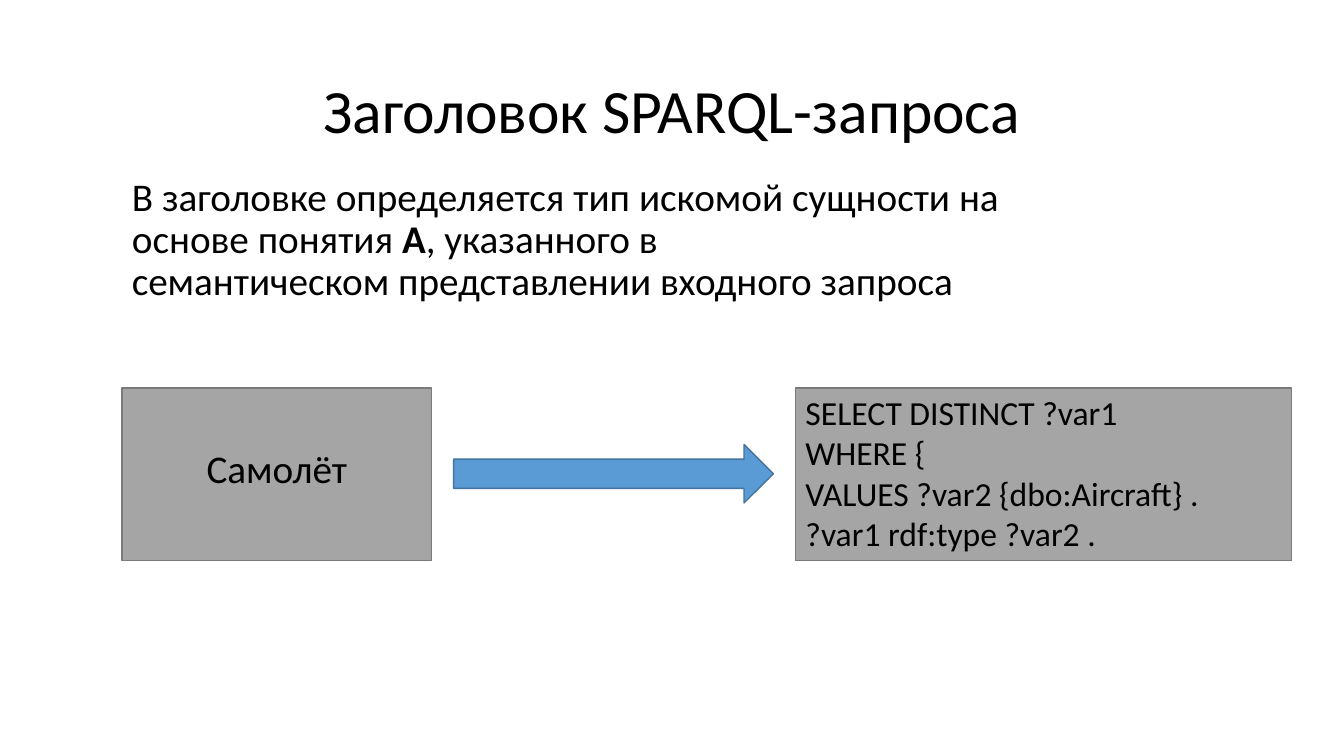
from pptx import Presentation
from pptx import util as u
from pptx.dml.color import RGBColor
from pptx.enum import shapes, text

PX = 9144
FONT = "Calibri"
BLACK = RGBColor(0x00, 0x00, 0x00)
GREY = RGBColor(0xA5, 0xA5, 0xA5)
EDGE = RGBColor(0x7A, 0x7A, 0x7A)
BLUE = RGBColor(0x5B, 0x9B, 0xD5)
NAVY = RGBColor(0x43, 0x73, 0x9E)
LEFT = text.PP_ALIGN.LEFT
CENTER = text.PP_ALIGN.CENTER

QUERY = [
    "SELECT DISTINCT ?var1",
    "WHERE {",
    "VALUES ?var2 {dbo:Aircraft} .",
    "?var1 rdf:type ?var2 .",
]


def scale(*box):
    return [u.Emu(n * PX) for n in box]


def style(para, size, align=LEFT):
    para.alignment = align
    para.font.size = u.Pt(size)
    para.font.name = FONT
    para.font.color.rgb = BLACK


def add_title(slide, box, words):
    title = slide.shapes.title
    title.left, title.top, title.width, title.height = scale(*box)
    frame = title.text_frame
    frame.text = words
    frame.vertical_anchor = text.MSO_ANCHOR.MIDDLE
    para = frame.paragraphs[0]
    style(para, 44, CENTER)
    para.line_spacing = 0.9


def add_shape(slide, kind, box, fill, edge):
    shape = slide.shapes.add_shape(kind, *scale(*box))
    shape.shadow.inherit = False
    shape.fill.solid()
    shape.fill.fore_color.rgb = fill
    shape.line.color.rgb = edge
    shape.line.width = u.Pt(1)


def add_text(slide, box, lines, size, align=LEFT):
    frame = slide.shapes.add_textbox(*scale(*box)).text_frame
    frame.word_wrap = True
    frame.text = "\n".join(lines)
    for para in frame.paragraphs:
        style(para, size, align)
    return frame


def add_intro(slide, box):
    frame = add_text(
        slide, box,
        ["В заголовке определяется тип искомой сущности на основе понятия "], 28)
    para = frame.paragraphs[0]
    para.line_spacing = 0.9
    para.space_before = u.Pt(10)
    term = para.add_run()
    term.text = "A"
    term.font.bold = True
    para.add_run().text = ", указанного в "
    para.add_line_break()
    para.add_run().text = "семантическом представлении входного запроса"


def main():
    deck = Presentation()
    deck.slide_width, deck.slide_height = u.Inches(13.33), u.Inches(7.5)
    slide = deck.slides.add_slide(deck.slide_layouts[5])
    rect = shapes.MSO_SHAPE.RECTANGLE
    arrow = shapes.MSO_SHAPE.RIGHT_ARROW
    for left, width in [(121, 307), (789, 492)]:
        add_shape(slide, rect, (left, 385, width, 171), GREY, EDGE)
    add_title(slide, (92, 40, 1150, 145), "Заголовок SPARQL-запроса")
    add_intro(slide, (121, 171, 978, 119))
    add_text(slide, (172, 436, 205, 57), ["Самолёт"], 28, CENTER)
    add_shape(slide, arrow, (450, 441, 317, 58), BLUE, NAVY)
    add_text(slide, (789, 384, 492, 172), QUERY, 24)
    deck.save("out.pptx")


if __name__ == "__main__":
    main()
